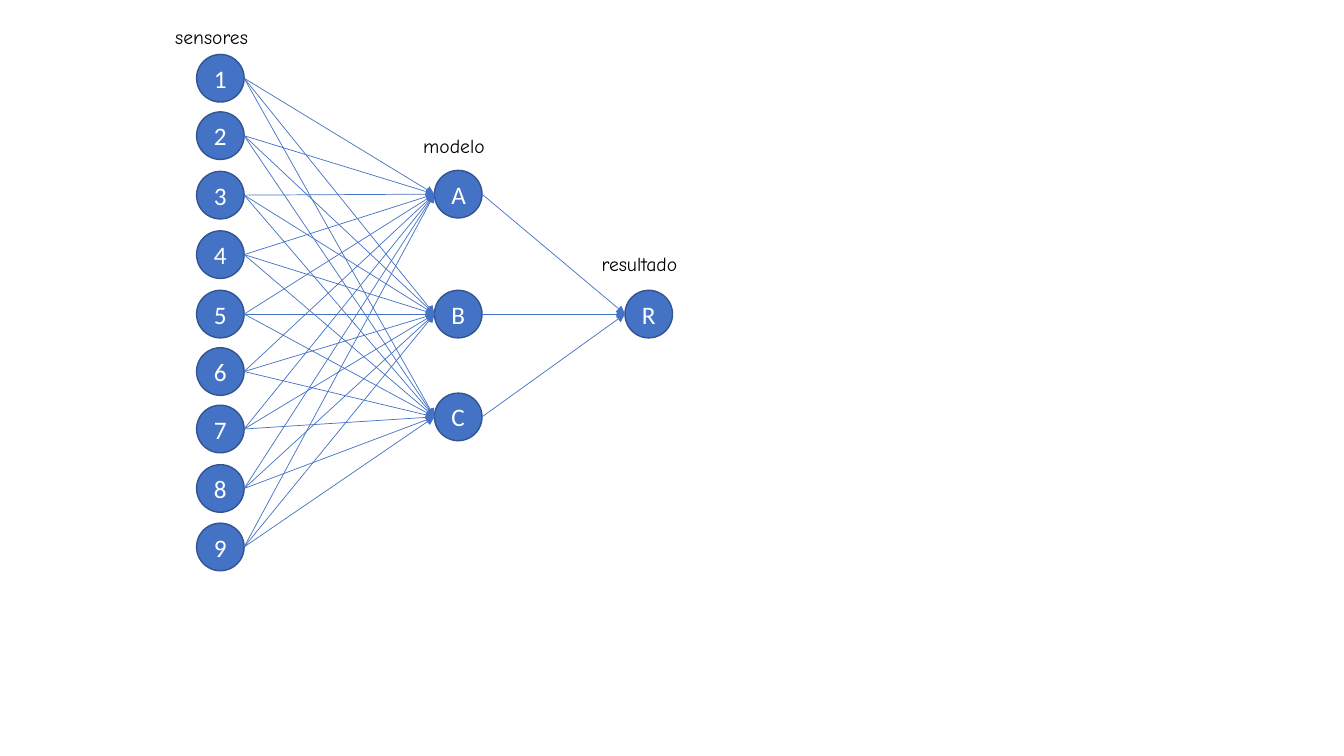
"""Draw a network of nine sensors, three model nodes and one result."""
from itertools import pairwise, product

from lxml.etree import SubElement
from pptx import Presentation
from pptx.dml.color import RGBColor
from pptx.enum.shapes import MSO_CONNECTOR, MSO_SHAPE
from pptx.enum.text import MSO_ANCHOR, MSO_AUTO_SIZE, PP_ALIGN
from pptx.oxml.ns import qn
from pptx.util import Pt

LAYERS = [
    {
        "title": "sensores", "title_box": (118.08, 14.4, 78.48, 24.48), "left": 140.4,
        "nodes": {"1": 38.88, "2": 79.92, "3": 122.4, "4": 164.88, "5": 207.36,
                  "6": 248.4, "7": 289.44, "8": 331.92, "9": 373.68},
    },
    {
        "title": "modelo", "title_box": (295.2, 92.16, 64.08, 24.48), "left": 310.32,
        "nodes": {"A": 121.68, "B": 207.36, "C": 280.8},
    },
    {
        "title": "resultado", "title_box": (422.64, 176.4, 81.36, 24.48), "left": 446.4,
        "nodes": {"R": 207.36},
    },
]
NODE_SIZE = 34

THEME = {
    "node": RGBColor(0x44, 0x72, 0xC4),
    "outline": RGBColor(0x32, 0x54, 0x91),
    "node_text": {"font": "Calibri", "size": 18, "color": RGBColor(255, 255, 255)},
    "title_text": {"font": "Comic Neue", "size": 14, "color": RGBColor(0, 0, 0)},
    "outline_width": 1,
    "link_width": 0.5,
}


def write(box, text, *, font, size, color, align=PP_ALIGN.LEFT):
    para = box.text_frame.paragraphs[0]
    para.alignment = align
    span = para.add_run()
    span.text = text
    span.font.name = font
    span.font.size = Pt(size)
    span.font.color.rgb = color


def add_node(page, label, left, top):
    node = page.shapes.add_shape(
        MSO_SHAPE.OVAL, Pt(left), Pt(top), Pt(NODE_SIZE), Pt(NODE_SIZE))
    node.shadow.inherit = False
    node.fill.solid()
    node.fill.fore_color.rgb = THEME["node"]
    node.line.color.rgb = THEME["outline"]
    node.line.width = Pt(THEME["outline_width"])
    node.text_frame.vertical_anchor = MSO_ANCHOR.MIDDLE
    write(node, label, align=PP_ALIGN.CENTER, **THEME["node_text"])


def add_title(page, text, place):
    box = page.shapes.add_textbox(*map(Pt, place))
    box.text_frame.word_wrap = False
    box.text_frame.auto_size = MSO_AUTO_SIZE.SHAPE_TO_FIT_TEXT
    write(box, text, **THEME["title_text"])


def add_link(page, start, end):
    link = page.shapes.add_connector(MSO_CONNECTOR.STRAIGHT, *map(Pt, start + end))
    link.line.color.rgb = THEME["node"]
    link.line.width = Pt(THEME["link_width"])
    SubElement(link.line._get_or_add_ln(), qn("a:tailEnd"), type="triangle")
    SubElement(link._element.spPr, qn("a:effectLst"))


deck = Presentation()
deck.slide_width, deck.slide_height = Pt(960), Pt(540)
page = deck.slides.add_slide(deck.slide_layouts[6])

for layer in LAYERS:
    for label, top in layer["nodes"].items():
        add_node(page, label, layer["left"], top)
    add_title(page, layer["title"], layer["title_box"])

for source, target in pairwise(LAYERS):
    for source_top, target_top in product(source["nodes"].values(), target["nodes"].values()):
        add_link(page,
                 (source["left"] + NODE_SIZE, source_top + NODE_SIZE / 2),
                 (target["left"], target_top + NODE_SIZE / 2))

deck.save("out.pptx")
